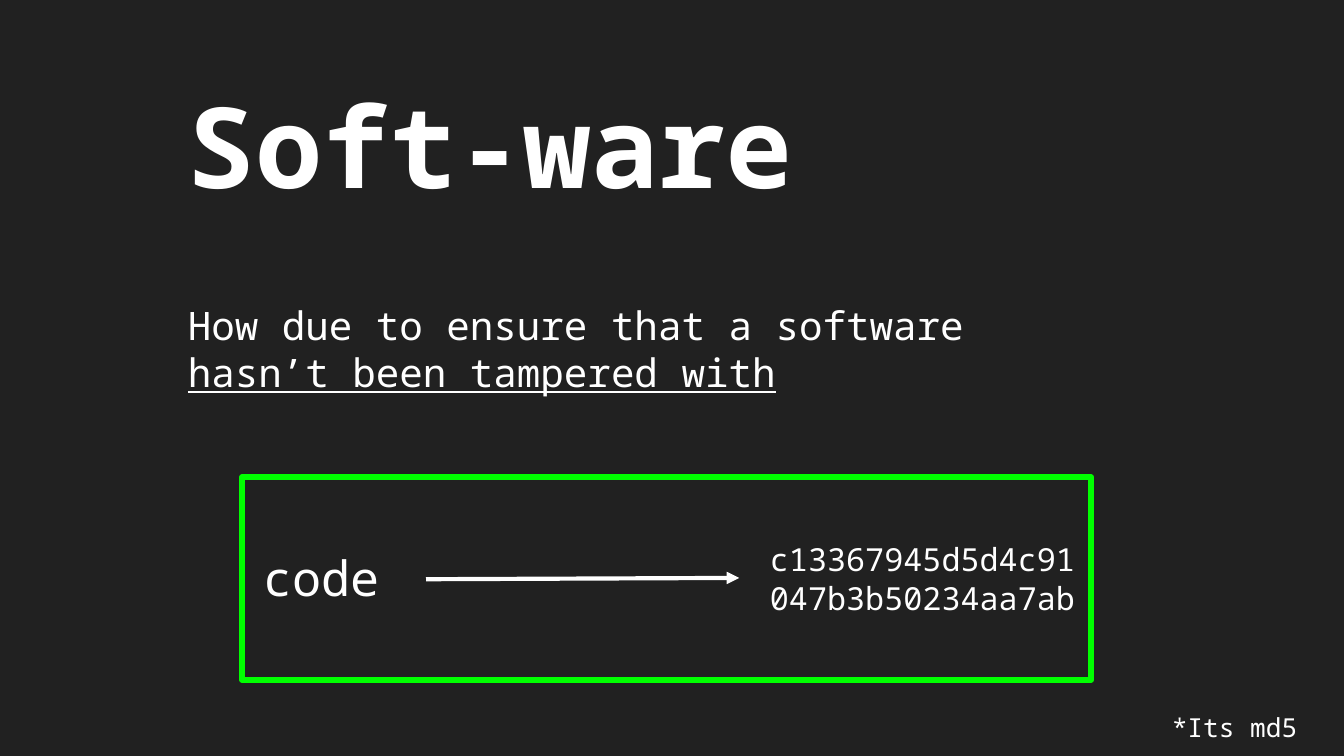
from lxml import etree
from pptx import Presentation
from pptx.dml.color import RGBColor
from pptx.enum.shapes import MSO_CONNECTOR as CONNECTOR, MSO_SHAPE as SHAPE
from pptx.oxml.ns import qn
from pptx.util import Inches, Pt

BACKGROUND = RGBColor(0x21, 0x21, 0x21)
WHITE = RGBColor(0xFF, 0xFF, 0xFF)
GREEN = RGBColor(0x00, 0xFF, 0x00)
FONT = "Noto Sans Mono"

deck = Presentation()
deck.slide_width = Inches(10)
deck.slide_height = Inches(10) * 9 // 16
page = deck.slides.add_slide(deck.slide_layouts[6])
page.background.fill.solid()
page.background.fill.fore_color.rgb = BACKGROUND


def add_text(left, top, width, height, size, spans, bold=False):
    box = page.shapes.add_textbox(Inches(left), Inches(top), Inches(width), Inches(height))
    frame = box.text_frame
    frame.word_wrap = True
    frame.margin_left = frame.margin_right = Inches(0.1)
    frame.margin_top = frame.margin_bottom = Inches(0.1)
    para = frame.paragraphs[0]
    for text, underline in spans:
        span = para.add_run()
        span.text = text
        span.font.name = FONT
        span.font.size = Pt(size)
        span.font.bold = bold
        span.font.underline = underline
        span.font.color.rgb = WHITE


add_text(1.3, 0.47, 6.87, 1.21, 60, [("Soft-ware", False)], bold=True)
add_text(1.3, 2.14, 7.17, 0.91, 21, [
    ("How due to ensure that a software ", False),
    ("hasn’t been tampered with", True),
])
add_text(1.86, 3.98, 1.12, 0.64, 26, [("code", False)])

arrow = page.shapes.add_connector(
    CONNECTOR.STRAIGHT, Inches(3.17), Inches(4.31), Inches(5.5), Inches(4.3))
arrow.line.color.rgb = WHITE
arrow.line.width = Pt(2.25)
arrow_properties = arrow._element.spPr
etree.SubElement(arrow_properties.get_or_add_ln(), qn("a:tailEnd"), type="triangle")
etree.SubElement(arrow_properties, qn("a:effectLst"))

add_text(5.63, 3.92, 2.52, 0.77, 17, [("c13367945d5d4c91047b3b50234aa7ab", False)])

border = page.shapes.add_shape(
    SHAPE.RECTANGLE, Inches(1.8), Inches(3.55), Inches(6.32), Inches(1.51))
border.shadow.inherit = False
border.fill.background()
border.line.color.rgb = GREEN
border.line.width = Pt(3)
etree.SubElement(border._element.spPr.get_or_add_ln(), qn("a:round"))

add_text(8.62, 5.19, 1.62, 0.44, 14, [("*Its md5", False)])

deck.save("out.pptx")
